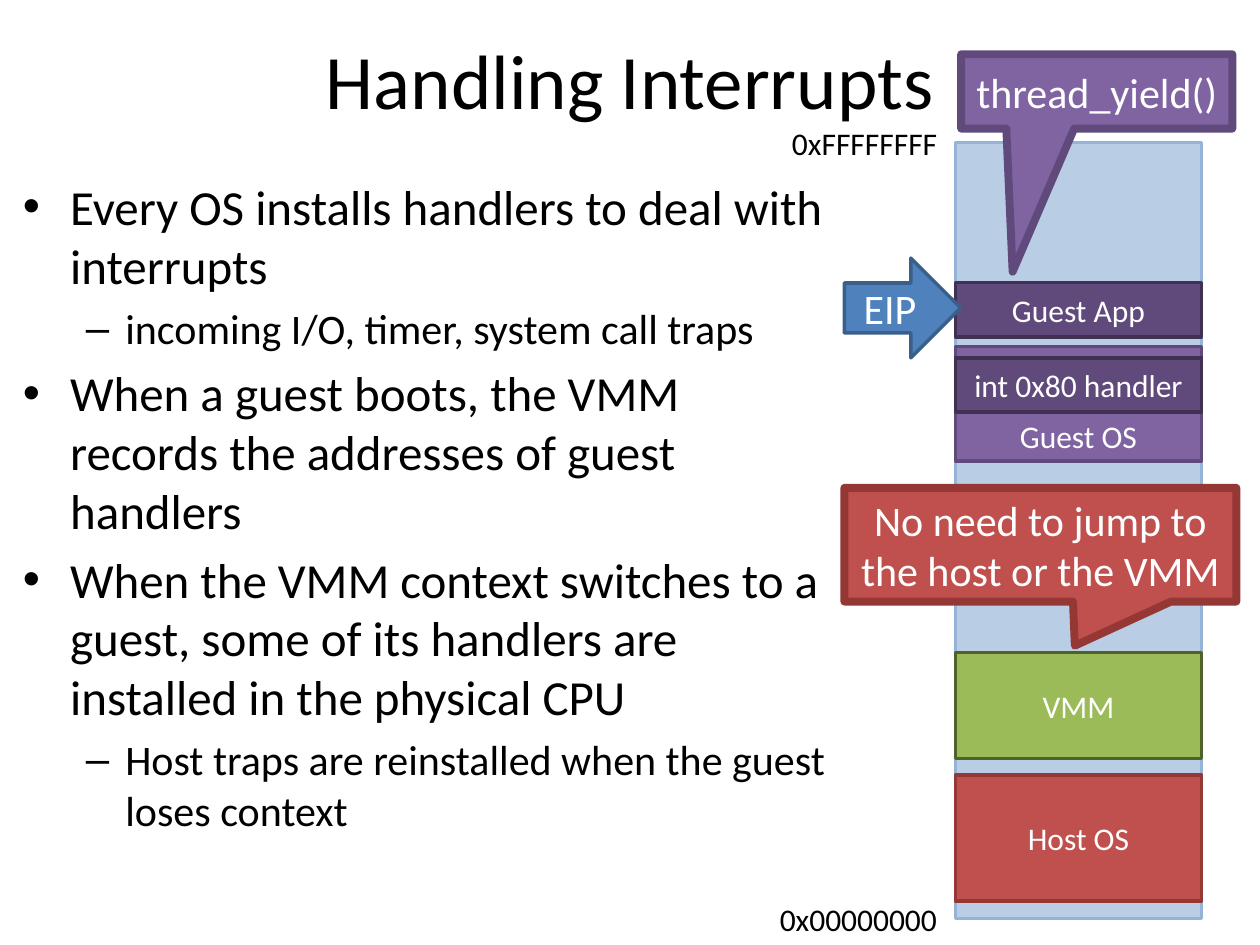
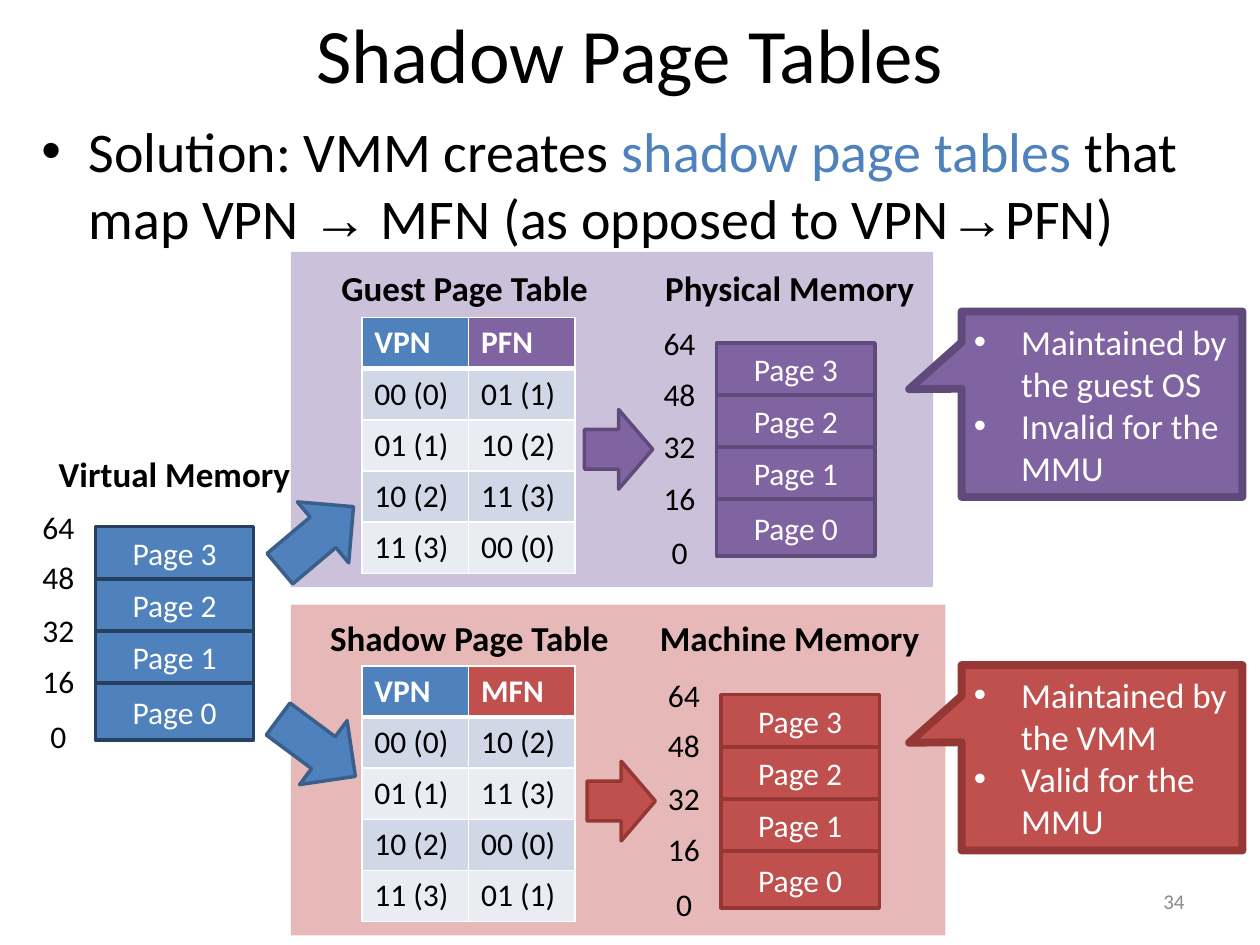
from lxml import etree
from pptx import Presentation
from pptx.dml.color import RGBColor
from pptx.enum.shapes import MSO_SHAPE
from pptx.enum.text import MSO_ANCHOR, PP_ALIGN
from pptx.oxml.ns import qn
from pptx.util import Pt

RECT = MSO_SHAPE.RECTANGLE
ARROW = MSO_SHAPE.RIGHT_ARROW
CALLOUT = MSO_SHAPE.RECTANGULAR_CALLOUT
LEFT, CENTER, RIGHT = PP_ALIGN.LEFT, PP_ALIGN.CENTER, PP_ALIGN.RIGHT
TOP, MIDDLE, BOTTOM = MSO_ANCHOR.TOP, MSO_ANCHOR.MIDDLE, MSO_ANCHOR.BOTTOM

BLACK, WHITE, GREY = "000000", "FFFFFF", "8B8B8B"
ACCENT = "4F81BD"
# Fill and line pairs
BLUE = (ACCENT, "3A5F8B")
NAVY_EDGED = (ACCENT, "254061")
PURPLE = ("8064A2", "604A7B")
DARK_PURPLE = ("604A7B", "403152")
RED = ("C0504D", "953735")
GREEN = ("9BBB59", "4F6228")
PALE_BLUE = ("B9CDE5", "95B3D7")
ROW_FILLS = ("D0D8E7", "E9ECF3")

# Bullet levels: character, left margin, hanging indent
BULLETS = [("•", 27, -27), ("–", 58.5, -22.5)]


def color(value):
    return RGBColor.from_string(value)


class SlideWriter:
    font = "Calibri"

    def __init__(self, deck):
        self.deck = deck
        self.shapes = None

    def new_page(self):
        page = self.deck.slides.add_slide(self.deck.slide_layouts[6])
        self.shapes = page.shapes

    def add_run(self, para, text, size, ink, bold=False, font=None):
        span = para.add_run()
        span.text = text
        span.font.name = font or self.font
        span.font.size = Pt(size)
        span.font.bold = bold
        span.font.color.rgb = color(ink)

    def add_bullet(self, para, level):
        mark, margin, indent = BULLETS[level]
        props = para._p.get_or_add_pPr()
        props.set("marL", str(Pt(margin)))
        props.set("indent", str(Pt(indent)))
        etree.SubElement(props, qn("a:buFont")).set("typeface", "Arial")
        etree.SubElement(props, qn("a:buChar")).set("char", mark)

    def text(self, at, words, size=18, ink=BLACK, align=LEFT, anchor=TOP,
             bold=False, wrap=False):
        box = self.shapes.add_textbox(*map(Pt, at))
        box.text_frame.word_wrap = wrap
        box.text_frame.vertical_anchor = anchor
        para = box.text_frame.paragraphs[0]
        para.alignment = align
        self.add_run(para, words, size, ink, bold)

    def title(self, words, height):
        self.text((36, 0, 648, height), words, 44, align=CENTER,
                  anchor=MIDDLE, wrap=True)

    def body(self, at, items):
        """Each item is (level, size, runs); a run is (text, options)."""
        frame = self.shapes.add_textbox(*map(Pt, at)).text_frame
        frame.word_wrap = True
        for number, (level, size, runs) in enumerate(items):
            para = frame.add_paragraph() if number else frame.paragraphs[0]
            self.add_bullet(para, level)
            if number:
                para.space_before = Pt(size * 0.2)
            for words, options in runs:
                self.add_run(para, words, size, **{"ink": BLACK, **options})

    def shape(self, kind, at, colors, lines=(), size=18, width=2,
              anchor=MIDDLE, adjust=(), turn=0, bullets=False):
        shape = self.shapes.add_shape(kind, *map(Pt, at))
        shape.shadow.inherit = False
        shape.rotation = turn
        for number, value in enumerate(adjust):
            shape.adjustments[number] = value
        fill, line = colors
        shape.fill.solid()
        shape.fill.fore_color.rgb = color(fill)
        if line:
            shape.line.color.rgb = color(line)
            shape.line.width = Pt(width)
        else:
            shape.line.fill.background()
        frame = shape.text_frame
        frame.vertical_anchor = anchor
        for number, words in enumerate(lines):
            para = frame.add_paragraph() if number else frame.paragraphs[0]
            para.alignment = LEFT if bullets else CENTER
            if bullets:
                self.add_bullet(para, 0)
            self.add_run(para, words, size, WHITE)

    def callout(self, at, colors, lines, adjust, size=24, bullets=False):
        self.shape(CALLOUT, at, colors, lines, size, 4.5, adjust=adjust,
                   bullets=bullets)

    def heading(self, left, top, width, words):
        self.text((left, top, width, 31), words, 20, bold=True)

    def memory_pages(self, left, top, colors, heading):
        """Four stacked pages with their addresses and heading, grouped."""
        outer = self.shapes
        self.shapes = outer.add_group_shape().shapes
        pitch = 29.75
        for number in range(4):
            height = 32.5 if number == 3 else pitch
            self.shape(RECT, (left, top + number * pitch, 90.5, height),
                       colors, [f"Page {3 - number}"])
        # Addresses share one centre line beside the pages
        offsets = (-14.5, 14.5, 44.5, 74, 105)
        for address, offset in zip(range(64, -1, -16), offsets):
            width = 32.5 if address else 23
            self.text((left - 21.25 - width / 2, top + offset, width, 29),
                      str(address), align=RIGHT)
        self.heading(*heading)
        self.shapes = outer

    def cell_borders(self, cell, top, bottom):
        props = cell._tc.get_or_add_tcPr()
        for side, width in zip("LRTB", (0.96, 0.96, top, bottom)):
            line = etree.SubElement(props, qn(f"a:ln{side}"), w=str(Pt(width)))
            fill = etree.SubElement(line, qn("a:solidFill"))
            etree.SubElement(fill, qn("a:srgbClr"), val=WHITE)

    def page_table(self, left, top, rows, head_fills):
        table = self.shapes.add_table(len(rows), 2, Pt(left), Pt(top),
                                      Pt(122), Pt(146.25)).table
        for column in table.columns:
            column.width = Pt(61)
        for r, values in enumerate(rows):
            table.rows[r].height = Pt(29.25)
            for c, words in enumerate(values):
                cell = table.cell(r, c)
                self.cell_borders(cell, 3 if r == 1 else 0.96,
                                  3 if r == 0 else 0.96)
                cell.fill.solid()
                fill = ROW_FILLS[(r - 1) % 2] if r else head_fills[c]
                cell.fill.fore_color.rgb = color(fill)
                self.add_run(cell.text_frame.paragraphs[0], words, 18,
                             BLACK if r else WHITE, bold=r == 0)


def interrupts_page(writer):
    writer.new_page()
    writer.title("Handling Interrupts", 90)
    points = [
        (0, 28, "Every OS installs handlers to deal with interrupts"),
        (1, 24, "incoming I/O, timer, system call traps"),
        (0, 28, "When a guest boots, the VMM records the addresses of guest "
                "handlers"),
        (0, 28, "When the VMM context switches to a guest, some of its "
                "handlers are installed in the physical CPU"),
        (1, 24, "Host traps are reinstalled when the guest loses context"),
    ]
    writer.body((6, 97.25, 474, 433.5),
                [(level, size, [(words, {})]) for level, size, words in points])

    # Address space: every block spans the memory column
    column_left, column_width = 546, 140.5
    blocks = [
        (81.5, 443.5, PALE_BLUE, [], MIDDLE),
        (443, 72, RED, ["Host OS"], MIDDLE),
        (373, 60.5, GREEN, ["VMM"], MIDDLE),
        (198, 65.5, PURPLE, ["Guest OS"], BOTTOM),
        (161.5, 31, DARK_PURPLE, ["Guest App"], MIDDLE),
        (204.5, 31, DARK_PURPLE, ["int 0x80 handler"], MIDDLE),
    ]
    for top, height, colors, lines, anchor in blocks:
        writer.shape(RECT, (column_left, top, column_width, height), colors,
                     lines, anchor=anchor)
    writer.text((438.5, 511, 104.5, 29), "0x00000000")
    writer.text((445.5, 67.25, 97.5, 29), "0xFFFFFFFF")

    # Callouts and instruction pointer
    writer.callout((482.5, 278.75, 224, 65), RED,
                   ["No need to jump to the host or the VMM"], (0.088, 0.888))
    writer.callout((549.25, 31, 155, 42.5), PURPLE, ["thread_yield()"],
                   (-0.31, 2.424))
    writer.shape(ARROW, (482.5, 147.5, 66.5, 57), BLUE, ["EIP"], 24)


def shadow_tables_page(writer):
    writer.new_page()
    # Guest and machine bands
    writer.shape(RECT, (166.25, 144, 367, 191.5), ("CCC1DA", None))
    writer.shape(RECT, (166.25, 345.5, 374, 189), ("E6B9B8", None))
    writer.title("Shadow Page Tables", 60.5)
    arrow = ("→", {"font": "Arial"})
    writer.body((16.5, 62.75, 687.5, 98.5), [(0, 32, [
        ("Solution: VMM creates ", {}),
        ("shadow page tables", {"ink": ACCENT}),
        (" that map VPN ", {}), arrow,
        (" MFN (as opposed to VPN", {}), arrow, ("PFN)", {}),
    ])])
    writer.text((516, 500.5, 168, 29), "34", 12, GREY, RIGHT, MIDDLE,
                wrap=True)

    # Memories; each heading box is wide enough for one line
    writer.memory_pages(54.5, 301, NAVY_EDGED,
                        (26.5, 255, 150, "Virtual Memory"))
    writer.memory_pages(409.5, 196, PURPLE,
                        (373, 149, 160, "Physical Memory"))
    writer.memory_pages(412, 397, RED, (370, 348.5, 166, "Machine Memory"))

    # Page tables
    virtual = ["VPN", "00 (0)", "01 (1)", "10 (2)", "11 (3)"]
    physical = ["PFN", "01 (1)", "10 (2)", "11 (3)", "00 (0)"]
    machine = ["MFN", "10 (2)", "11 (3)", "00 (0)", "01 (1)"]
    for top, frames, fill in ((181.5, physical, PURPLE[0]),
                              (380.5, machine, RED[0])):
        writer.page_table(206.75, top, list(zip(virtual, frames)),
                          (ACCENT, fill))
    writer.heading(188, 149, 155.5, "Guest Page Table")
    writer.heading(181.5, 348.5, 173.5, "Shadow Page Table")

    # Mapping arrows
    for left, top, width, colors, turn in (
            (153.5, 284.5, 55, BLUE, 319.9), (334, 234, 39, PURPLE, 0),
            (153.5, 404.5, 55, BLUE, 36.6), (335.5, 435, 39, RED, 0)):
        writer.shape(ARROW, (left, top, width, 45.5), colors, turn=turn)

    # Notes on who maintains each table
    for top, colors, lines in (
            (178, PURPLE, ["Maintained by the guest OS",
                           "Invalid for the MMU"]),
            (380, RED, ["Maintained by the VMM", "Valid for the MMU"])):
        writer.callout((549.5, top, 160.5, 106), colors, lines,
                       (-0.687, -0.081), 20, bullets=True)


def main():
    deck = Presentation()
    deck.slide_width, deck.slide_height = Pt(720), Pt(540)
    writer = SlideWriter(deck)
    interrupts_page(writer)
    shadow_tables_page(writer)
    deck.save("out.pptx")


if __name__ == "__main__":
    main()
